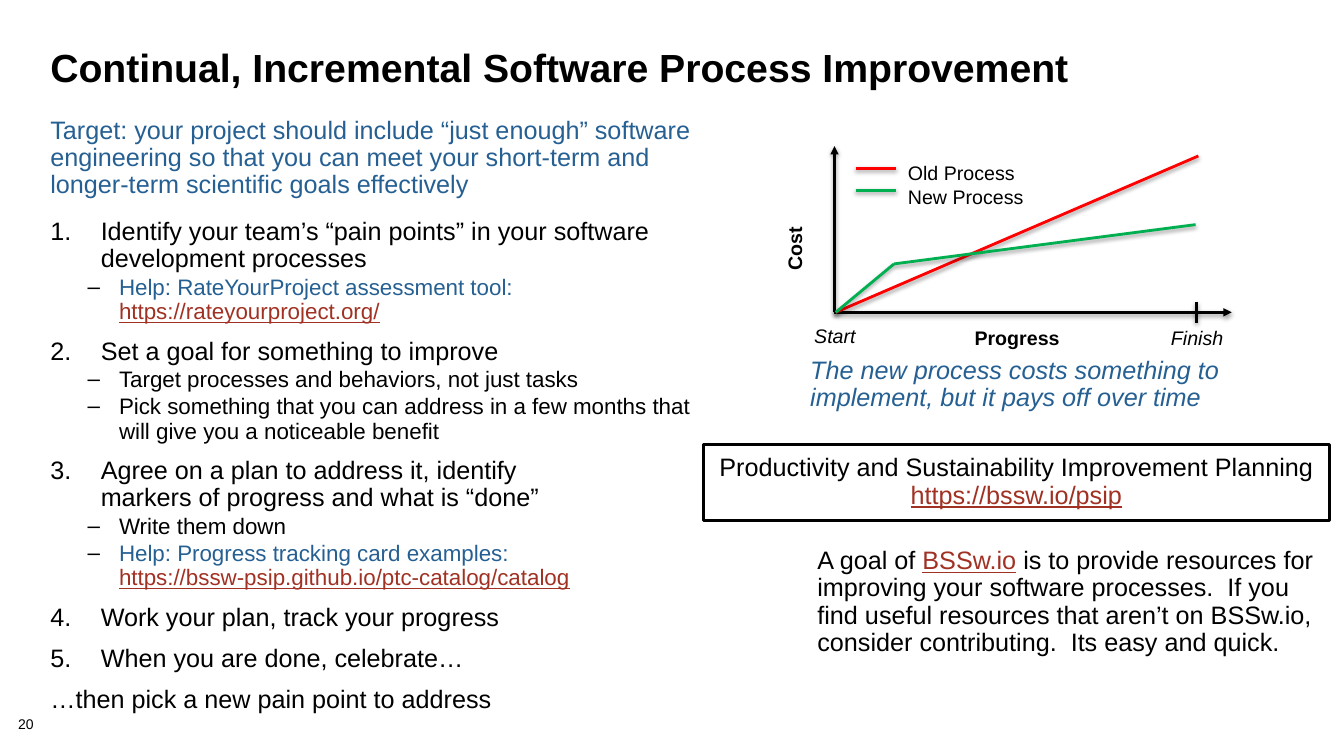
import copy

import lxml.etree
import pptx
import pptx.dml.color
import pptx.enum.shapes
import pptx.enum.text
import pptx.oxml.ns
import pptx.util

Cm, Pt, qn = pptx.util.Cm, pptx.util.Pt, pptx.oxml.ns.qn
COLORS = {"black": "000000", "blue": "266093", "link": "A03123",
          "old": "FF0000", "new": "00B050"}

# Each step: its text, then sub-points as lists of (text, colour) runs
STEPS = [
    ("Identify your team’s “pain points” in your software development processes",
     [[("Help: RateYourProject assessment tool: ", "blue"),
       ("https://rateyourproject.org/", "link")]]),
    ("Set a goal for something to improve",
     [[("Target processes and behaviors, not just tasks", "black")],
      [("Pick something that you can address in a few months that "
        "will give you a noticeable benefit", "black")]]),
    ("Agree on a plan to address it, identify \nmarkers of progress and what is “done”",
     [[("Write them down", "black")],
      [("Help: Progress tracking card examples:\n", "blue"),
       ("https://bssw-psip.github.io/ptc-catalog/catalog", "link")]]),
    ("Work your plan, track your progress", []),
    ("When you are done, celebrate…", []),
]


def rgb(name):
    return pptx.dml.color.RGBColor.from_string(COLORS[name])


def add_runs(p, runs, size, bold=False, italic=False, spacing=None, before=0):
    """Fill a paragraph with (text, colour) runs; a newline is a line break."""
    p.line_spacing = spacing
    if before:
        p.space_before = Pt(before)
    for text, color in runs:
        for i, part in enumerate(text.split("\n")):
            if i:
                p.add_line_break()
                p._p[-1].append(copy.deepcopy(r._r.rPr))
            if not part:
                continue
            r = p.add_run()
            r.text = part
            r.font.name = "Arial"
            r.font.size = Pt(size)
            r.font.bold = bold
            r.font.italic = italic
            r.font.color.rgb = rgb(color)
            if color == "link":
                r.font.underline = True


def add_bullet(p, indent, hanging, tag, **attrs):
    pPr = p._p.get_or_add_pPr()
    pPr.set("marL", str(Cm(indent)))
    pPr.set("indent", str(-Cm(hanging)))
    color = lxml.etree.SubElement(pPr, qn("a:buClr"))
    lxml.etree.SubElement(color, qn("a:srgbClr"), val=COLORS["black"])
    lxml.etree.SubElement(pPr, qn("a:buFont"), typeface="Arial")
    lxml.etree.SubElement(pPr, qn(tag), **attrs)


def set_insets(tf, x, y):
    tf.margin_left = tf.margin_right = Cm(x)
    tf.margin_top = tf.margin_bottom = Cm(y)


def add_text(s, box, wrap=True):
    tf = s.shapes.add_textbox(*map(Cm, box)).text_frame
    tf.word_wrap = wrap
    return tf


def add_line(s, start, end, color, arrow=False):
    line = s.shapes.add_connector(pptx.enum.shapes.MSO_CONNECTOR.STRAIGHT,
                                  *map(Cm, start + end))
    line.line.color.rgb = rgb(color)
    line.line.width = Pt(2)
    if arrow:
        lxml.etree.SubElement(line.line._get_or_add_ln(), qn("a:tailEnd"), type="triangle")
    spPr = line._element.spPr
    effects = lxml.etree.SubElement(spPr, qn("a:effectLst"))
    shadow = lxml.etree.SubElement(effects, qn("a:outerShdw"), blurRad=str(Pt(3.1)),
                                   dist=str(Pt(1.6)), dir="5400000", rotWithShape="0")
    tint = lxml.etree.SubElement(shadow, qn("a:srgbClr"), val=COLORS["black"])
    lxml.etree.SubElement(tint, qn("a:alpha"), val="38000")


def add_title(s, box):
    add_runs(add_text(s, box).paragraphs[0],
             [("Continual, Incremental Software Process Improvement", "black")],
             28, bold=True, spacing=0.85)


def add_slide_number(s, box):
    tf = add_text(s, box)
    set_insets(tf, 0, 0)
    add_runs(tf.paragraphs[0], [("20", "black")], 10, spacing=0.9)


def add_steps(s, box):
    tf = add_text(s, box)
    add_runs(tf.paragraphs[0],
             [("Target: your project should include “just enough” software engineering "
               "so that you can meet your short-term and longer-term scientific goals "
               "effectively", "blue")], 18, spacing=0.9)
    for i, (step, points) in enumerate(STEPS):
        p = tf.add_paragraph()
        add_runs(p, [(step, "black")], 18, spacing=0.9, before=10 if i else 14)
        add_bullet(p, 1.27, 1.27, "a:buAutoNum", type="arabicPeriod")
        for point in points:
            p = tf.add_paragraph()
            p.level = 1
            add_runs(p, point, 16, spacing=0.9, before=2)
            add_bullet(p, 1.73, 0.79, "a:buChar", char="–")
    add_runs(tf.add_paragraph(), [("…then pick a new pain point to address", "black")],
             18, spacing=0.9, before=10)


def add_cost_sketch(s, box):
    """Draw cost against progress; the box is the area spanned by the two axes."""
    left, top, width, height = box
    base = top + height

    def at(dx, up):
        return left + dx, base - up

    finish = 9.12
    add_line(s, at(0, 0), at(0, height), "black", arrow=True)
    add_line(s, at(0, 0), at(width, 0), "black", arrow=True)
    add_line(s, at(finish, 0.27), at(finish, -0.27), "black")
    add_line(s, at(0.03, 0), at(9.17, 3.94), "old")
    add_line(s, at(0.03, 0), at(1.5, 1.22), "new")
    add_line(s, at(1.5, 1.22), at(9.1, 2.21), "new")

    for text, dx, dy, w, style in [
            ("Cost", -1.93, 1.78, 2.11, {"bold": True}),
            ("Progress", 3.28, height + 0.21, 3.48, {"bold": True}),
            ("Start", -0.76, height + 0.18, 2.03, {"italic": True}),
            ("Finish", 8.23, height + 0.21, 2.39, {"italic": True})]:
        tf = add_text(s, (left + dx, top + dy, w, 1.12), wrap=False)
        add_runs(tf.paragraphs[0], [(text, "black")], 14, **style)
        if text == "Cost":
            s.shapes[-1].rotation = 270

    legend = add_text(s, (left + 1.6, top + 0.26, 3.73, 1.57), wrap=False)
    add_runs(legend.paragraphs[0], [("Old Process", "black")], 14)
    add_runs(legend.add_paragraph(), [("New Process", "black")], 14)
    for i, color in enumerate(("old", "new")):
        y = top + 0.56 * (i + 1)
        add_line(s, (left + 0.53, y), (left + 1.56, y), color)


def add_note(s, box, runs, italic=False):
    tf = add_text(s, box)
    set_insets(tf, 0.33, 0.25)
    tf.vertical_anchor = pptx.enum.text.MSO_ANCHOR.MIDDLE
    add_runs(tf.paragraphs[0], runs, 18, italic=italic, spacing=0.9)


def add_planning_box(s, box):
    sp = s.shapes.add_shape(pptx.enum.shapes.MSO_SHAPE.RECTANGLE, *map(Cm, box))
    sp.shadow.inherit = False
    sp.fill.background()
    sp.line.color.rgb = rgb("black")
    sp.line.width = Pt(2)
    tf = sp.text_frame
    tf.word_wrap = False
    set_insets(tf, 0.33, 0.25)
    tf.vertical_anchor = pptx.enum.text.MSO_ANCHOR.MIDDLE
    p = tf.paragraphs[0]
    p.alignment = pptx.enum.text.PP_ALIGN.CENTER
    add_runs(p, [("Productivity and Sustainability Improvement Planning\n", "black"),
                 ("https://bssw.io/psip", "link")], 18, spacing=0.9)


def main():
    prs = pptx.Presentation()
    prs.slide_width, prs.slide_height = Cm(33.87), Cm(19.05)
    s = prs.slides.add_slide(prs.slide_layouts[6])
    add_slide_number(s, (0.46, 18.08, 1.42, 0.41))
    add_title(s, (1.02, 1.14, 31.6, 2.54))
    add_steps(s, (1.02, 2.84, 17.09, 11.25))
    add_cost_sketch(s, (21.03, 3.68, 10.01, 4.19))
    add_note(s, (20.09, 8.74, 11.07, 1.91),
             [("The new process costs something to implement, "
               "but it pays off over time", "blue")], italic=True)
    add_planning_box(s, (17.73, 11.2, 15.77, 1.91))
    add_note(s, (20.27, 13.54, 13.23, 3.28),
             [("A goal of ", "black"), ("BSSw.io", "link"),
              (" is to provide resources for improving your software processes.  "
               "If you find useful resources that aren’t on BSSw.io, consider "
               "contributing.  Its easy and quick.", "black")])
    prs.save("out.pptx")


if __name__ == "__main__":
    main()
